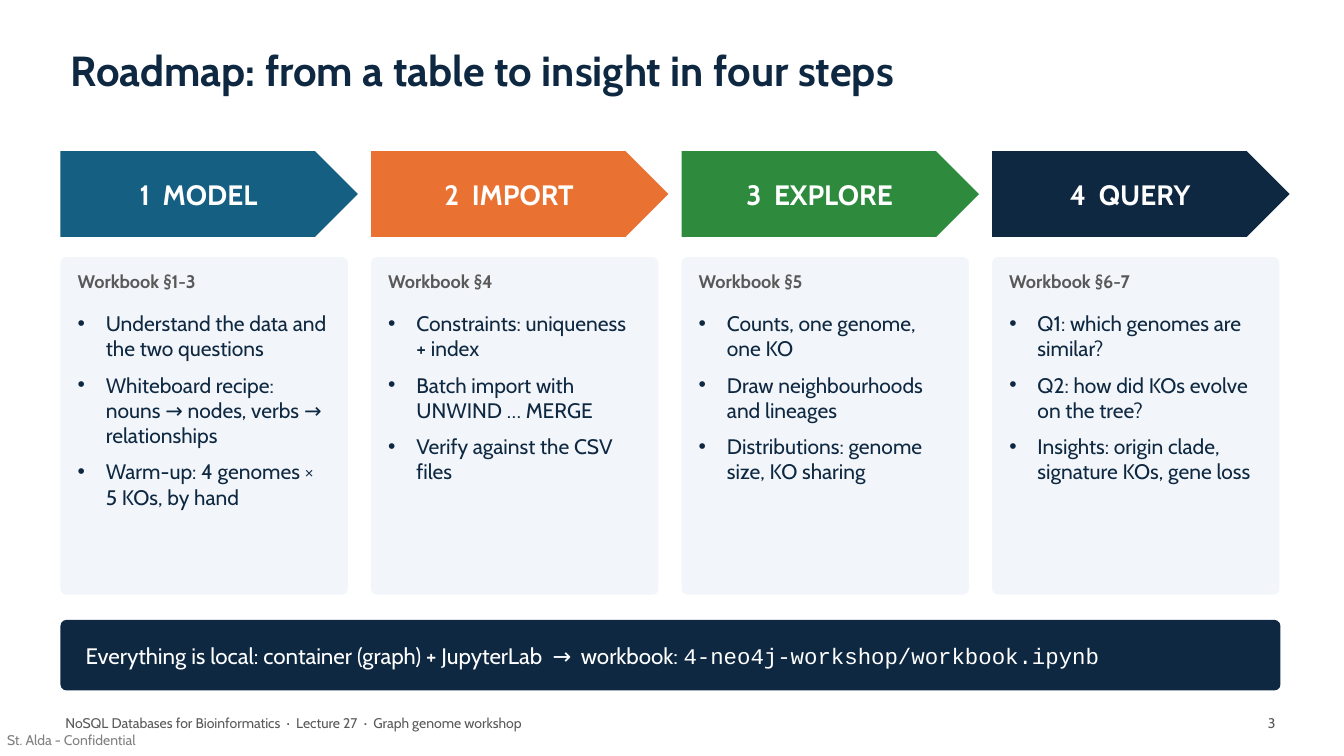
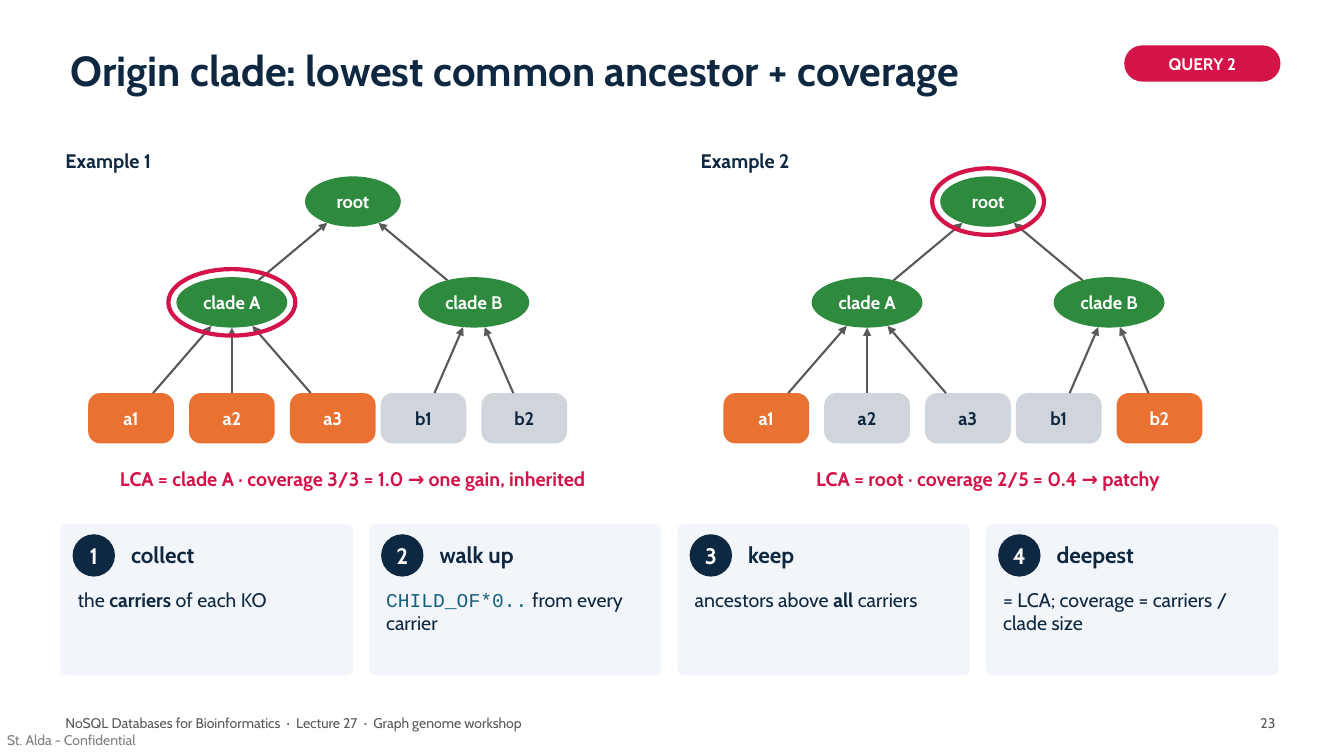
"""Builds two slides of a graph database lecture: the roadmap and the origin clade method."""
from math import hypot

from lxml import etree
from pptx import Presentation
from pptx.dml.color import RGBColor
from pptx.enum.shapes import MSO_CONNECTOR, MSO_SHAPE
from pptx.enum.text import MSO_ANCHOR, MSO_AUTO_SIZE, PP_ALIGN
from pptx.oxml.ns import qn
from pptx.util import Inches, Pt

OVAL, ROUNDED, ARROW_BOX = MSO_SHAPE.OVAL, MSO_SHAPE.ROUNDED_RECTANGLE, MSO_SHAPE.PENTAGON
STRAIGHT = MSO_CONNECTOR.STRAIGHT
TOP, MIDDLE = MSO_ANCHOR.TOP, MSO_ANCHOR.MIDDLE
LEFT, CENTER, RIGHT = PP_ALIGN.LEFT, PP_ALIGN.CENTER, PP_ALIGN.RIGHT
NO_FIT = MSO_AUTO_SIZE.NONE

NAVY, TEAL, ORANGE, GREEN, CRIMSON = "0E2841", "156082", "E97132", "2E8B3E", "D41348"
WHITE, PALE, SILVER, GRAY, MID_GRAY = "FFFFFF", "F2F5F9", "D0D5DB", "595959", "808080"
FONT, CODE_FONT = "Cabin", "Courier New"
BOLD = {"bold": True}
MARGIN, CONTENT_WIDTH = 0.6, 12.1
COMPARISON_LAYOUT, TITLE_ONLY_LAYOUT = 4, 5

FOOTER = "NoSQL Databases for Bioinformatics  ·  Lecture 27  ·  Graph genome workshop"
CONFIDENTIAL = "St. Alda - Confidential"

ROADMAP_TITLE = "Roadmap: from a table to insight in four steps"
STAGES = [
    ("1  MODEL", TEAL, "Workbook §1-3", [
        "Understand the data and the two questions",
        "Whiteboard recipe: nouns → nodes, verbs → relationships",
        "Warm-up: 4 genomes × 5 KOs, by hand"]),
    ("2  IMPORT", ORANGE, "Workbook §4", [
        "Constraints: uniqueness + index",
        "Batch import with UNWIND … MERGE",
        "Verify against the CSV files"]),
    ("3  EXPLORE", GREEN, "Workbook §5", [
        "Counts, one genome, one KO",
        "Draw neighbourhoods and lineages",
        "Distributions: genome size, KO sharing"]),
    ("4  QUERY", NAVY, "Workbook §6-7", [
        "Q1: which genomes are similar?",
        "Q2: how did KOs evolve on the tree?",
        "Insights: origin clade, signature KOs, gene loss"]),
]
SETUP = [
    ("Everything is local: container (graph) + JupyterLab  →  workbook: ", {}),
    ("4-neo4j-workshop/workbook.ipynb", {"font": CODE_FONT}),
]

CLADE_TITLE = "Origin clade: lowest common ancestor + coverage"
CLADES = {"clade A": (1.7, ["a1", "a2", "a3"]), "clade B": (4.1, ["b1", "b2"])}
EXAMPLES = [
    ("Example 1", 0.6, {"a1", "a2", "a3"}, "clade A",
     "LCA = clade A · coverage 3/3 = 1.0 → one gain, inherited"),
    ("Example 2", 6.9, {"a1", "b2"}, "root",
     "LCA = root · coverage 2/5 = 0.4 → patchy"),
]
METHOD = [
    ("collect", [("the ", {}), ("carriers", BOLD), (" of each KO", {})]),
    ("walk up", [("CHILD_OF*0..", {"font": CODE_FONT, "color": TEAL}),
                 (" from every carrier", {})]),
    ("keep", [("ancestors above ", {}), ("all", BOLD), (" carriers", {})]),
    ("deepest", [("= LCA; coverage = carriers / clade size", {})]),
]


def rgb(color):
    """Turn a hex string into a colour."""
    return RGBColor.from_string(color)


def write(paragraph, content, size, color, bold=False, align=LEFT, after=0, spacing=1.0):
    """Fill a paragraph from a string or from (text, style) runs."""
    paragraph.alignment = align
    paragraph.space_before = Pt(0)
    paragraph.space_after = Pt(after)
    paragraph.line_spacing = spacing
    for text, style in [(content, {})] if isinstance(content, str) else content:
        run = paragraph.add_run()
        run.text = text
        run.font.name = style.get("font", FONT)
        run.font.size = Pt(size)
        run.font.bold = style.get("bold", bold)
        run.font.color.rgb = rgb(style.get("color", color))


def set_frame(frame, anchor, side, edge):
    """Set wrapping, anchor and insets of a text frame."""
    frame.word_wrap = True
    frame.auto_size = NO_FIT
    frame.vertical_anchor = anchor
    frame.margin_left = frame.margin_right = Inches(side)
    frame.margin_top = frame.margin_bottom = Inches(edge)


def place(shape, left, top, width, height):
    """Move and size a placeholder."""
    shape.left, shape.top = Inches(left), Inches(top)
    shape.width, shape.height = Inches(width), Inches(height)


def add_label(slide, box, content, size, color, anchor=TOP, insets=(0.05, 0.03), **style):
    """Add a text box holding one paragraph."""
    frame = slide.shapes.add_textbox(*map(Inches, box)).text_frame
    set_frame(frame, anchor, *insets)
    write(frame.paragraphs[0], content, size, color, **style)


def add_block(slide, kind, box, fill=None, radius=0, outline=None):
    """Add a flat shape, filled or outlined."""
    block = slide.shapes.add_shape(kind, *map(Inches, box))
    block.shadow.inherit = False
    if radius:
        block.adjustments[0] = radius / min(box[2:])
    if fill:
        block.fill.solid()
        block.fill.fore_color.rgb = rgb(fill)
    else:
        block.fill.background()
    if outline:
        block.line.color.rgb = rgb(outline)
        block.line.width = Pt(3)
    else:
        block.line.fill.background()
    return block


def add_badge(slide, kind, box, fill, text, size, color=WHITE, radius=0):
    """Add a filled shape with centred bold text."""
    frame = add_block(slide, kind, box, fill, radius).text_frame
    set_frame(frame, MIDDLE, 0.06, 0.03)
    write(frame.paragraphs[0], text, size, color, bold=True, align=CENTER)


def add_arrow(slide, start, end):
    """Draw a straight arrow between two points."""
    arrow = slide.shapes.add_connector(STRAIGHT, *map(Inches, start + end))
    arrow.line.color.rgb = rgb(GRAY)
    arrow.line.width = Pt(1.5)
    properties = arrow._element.spPr
    etree.SubElement(properties.find(qn("a:ln")), qn("a:tailEnd"), type="triangle")
    etree.SubElement(properties, qn("a:effectLst"))


def start_slide(deck, layout, title, number, title_width=CONTENT_WIDTH):
    """Add a slide with the shared title, footer and page number."""
    slide = deck.slides.add_slide(deck.slide_layouts[layout])
    heading = slide.shapes.title
    place(heading, MARGIN, 0.3, title_width, 0.85)
    set_frame(heading.text_frame, MIDDLE, 0.1, 0.05)
    write(heading.text_frame.paragraphs[0], title, 30, NAVY, bold=True, spacing=0.9)
    add_label(slide, (0.07, 7.26, 1.6, 0.17), CONFIDENTIAL, 10, MID_GRAY, insets=(0, 0))
    add_label(slide, (MARGIN, 7.06, 9.5, 0.3), FOOTER, 10, GRAY)
    add_label(slide, (11.7, 7.06, 1, 0.3), str(number), 10, GRAY, align=RIGHT)
    return slide


def fill_list(slide, body, box, items):
    """Turn a body placeholder into a bulleted list in front of its card."""
    place(body, *box)
    slide.shapes._spTree.append(body._element)
    frame = body.text_frame
    set_frame(frame, TOP, 0.05, 0.03)
    for index, item in enumerate(items):
        paragraph = frame.add_paragraph() if index else frame.paragraphs[0]
        properties = paragraph._p.get_or_add_pPr()
        properties.set("marL", str(Inches(0.28)))
        properties.set("indent", str(Inches(-0.28)))
        etree.SubElement(properties, qn("a:buChar"), char="•")
        write(paragraph, item, 15, NAVY, after=8)


def build_roadmap(deck):
    """Build the four-stage roadmap."""
    slide = start_slide(deck, COMPARISON_LAYOUT, ROADMAP_TITLE, 3)
    bodies = list(slide.placeholders)[1:]
    for column, (body, (stage, color, section, items)) in enumerate(zip(bodies, STAGES)):
        left = MARGIN + 3.08 * column
        add_badge(slide, ARROW_BOX, (left, 1.5, 2.95, 0.85), color, stage, 20)
        add_block(slide, ROUNDED, (left, 2.55, 2.85, 3.35), PALE, 0.06)
        add_label(slide, (left + 0.12, 2.65, 2.6, 0.35), section, 13, GRAY, bold=True)
        fill_list(slide, body, (left + 0.12, 3.05, 2.6, 2.8), items)
    add_block(slide, ROUNDED, (MARGIN, 6.15, CONTENT_WIDTH, 0.7), NAVY, 0.06)
    add_label(slide, (0.8, 6.2, 11.7, 0.6), SETUP, 16, WHITE, anchor=MIDDLE)


def rim_point(node, target):
    """Find where the line from an oval's centre to a target leaves the oval."""
    x, y, width, height = node
    dx, dy = target[0] - x, target[1] - y
    share = 1 / hypot(dx / (width / 2), dy / (height / 2))
    return x + share * dx, y + share * dy


def centered(node, padding=0):
    """Turn centre and size into left, top, width and height."""
    x, y, width, height = node
    return (x - width / 2 - padding, y - height / 2 - padding,
            width + 2 * padding, height + 2 * padding)


def add_tree(slide, left, carriers, ancestor):
    """Draw a clade tree with its carriers coloured and its ancestor ringed."""
    nodes = {"root": (left + 2.9, 2.0, 0.95, 0.5)}
    for clade, (offset, _) in CLADES.items():
        nodes[clade] = (left + offset, 3.0, 1.1, 0.5)
    for name, node in nodes.items():
        add_badge(slide, OVAL, centered(node), GREEN, name, 13)
    for clade, (_, leaves) in CLADES.items():
        parent = nodes[clade]
        add_arrow(slide, rim_point(parent, nodes["root"]), rim_point(nodes["root"], parent))
        for index, leaf in enumerate(leaves):
            x, y = parent[0] + index - (len(leaves) - 1) / 2, 4.15
            fill, color = (ORANGE, WHITE) if leaf in carriers else (SILVER, NAVY)
            add_badge(slide, ROUNDED, centered((x, y, 0.85, 0.5)), fill, leaf, 13, color, 0.12)
            share = 0.25 / (y - parent[1])
            add_arrow(slide, (x + share * (parent[0] - x), y - 0.25), rim_point(parent, (x, y)))
    add_block(slide, OVAL, centered(nodes[ancestor], 0.08), outline=CRIMSON)


def build_origin_clade(deck):
    """Build the two example trees and the four method steps."""
    slide = start_slide(deck, TITLE_ONLY_LAYOUT, CLADE_TITLE, 23, 10.4)
    add_badge(slide, ROUNDED, (11.15, 0.45, 1.55, 0.36), CRIMSON, "QUERY 2", 12, radius=0.18)
    for example, left, carriers, ancestor, verdict in EXAMPLES:
        add_tree(slide, left, carriers, ancestor)
        add_label(slide, (left, 1.45, 2.3, 0.4), example, 14, NAVY, bold=True)
        add_label(slide, (left, 4.6, 5.8, 0.6), verdict, 14, CRIMSON, bold=True, align=CENTER)
    for column, (step, detail) in enumerate(METHOD):
        left = MARGIN + 3.06 * column
        add_block(slide, ROUNDED, (left, 5.2, 2.9, 1.5), PALE, 0.06)
        add_badge(slide, OVAL, (left + 0.12, 5.3, 0.42, 0.42), NAVY, str(column + 1), 16)
        add_label(slide, (left + 0.65, 5.28, 2.2, 0.45), step, 16, NAVY, MIDDLE, bold=True)
        add_label(slide, (left + 0.12, 5.8, 2.7, 0.95), detail, 14, NAVY)


def main():
    """Build and save the deck."""
    deck = Presentation()
    deck.slide_width, deck.slide_height = Inches(13.33), Inches(7.5)
    build_roadmap(deck)
    build_origin_clade(deck)
    deck.save("out.pptx")


if __name__ == "__main__":
    main()
